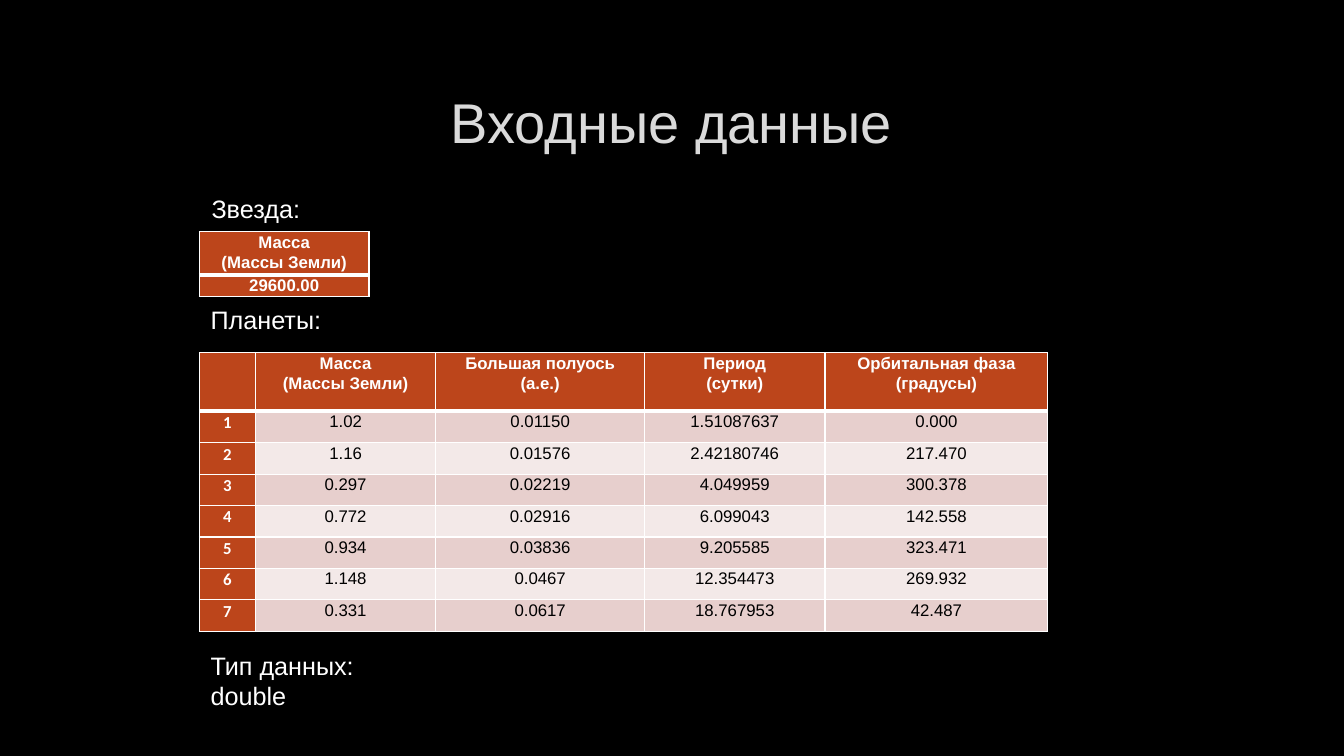
"""Build the slide that lists the input data for a star and its planets."""
from dataclasses import dataclass

from lxml import etree
from pptx import Presentation
from pptx import util as u
from pptx.dml.color import RGBColor
from pptx.enum import text as t
from pptx.oxml.ns import qn

WIDE, HIGH = u.Inches(13.33), u.Inches(7.5)
BLACK = RGBColor(0x00, 0x00, 0x00)
WHITE = RGBColor(0xFF, 0xFF, 0xFF)
SILVER = RGBColor(0xDA, 0xDA, 0xDA)
GRAY = RGBColor(0x40, 0x40, 0x40)
RUST = RGBColor(0xBC, 0x45, 0x1B)
ROSE = RGBColor(0xE7, 0xCF, 0xCD)
PALE = RGBColor(0xF3, 0xE9, 0xE8)
LEFT = 14.85


@dataclass(frozen=True)
class Font:
    size: float
    color: RGBColor
    bold: bool = False
    name: str = "Arial"


@dataclass(frozen=True)
class Label:
    words: str
    left: float
    top: float
    width: float
    height: float


@dataclass(frozen=True)
class Grid:
    top: float
    cols: list[float]
    rows: list[float]
    data: list[list[str]]


HEAD = Font(12, WHITE, True)
INDEX = Font(12, WHITE, True, "Calibri")
BODY = Font(12, BLACK)
NOTE = Font(18, WHITE)

TITLE = Label("Входные данные", 7.5, 8.93, 84.92, 14.13)
LABELS = [
    Label("Планеты:", 14.93, 39.6, 11.48, 5.33),
    Label("Звезда:", 15, 24.93, 10.8, 5.33),
    Label("Тип данных:\ndouble", 14.93, 85.33, 55.66, 9.47),
]
MASS = "Масса\n(Массы Земли)"
STAR = Grid(30.67, [12.6], [5.6, 2.72], [[MASS], ["29600.00"]])
PLANETS = Grid(46.67, [4.15, 13.43, 15.53, 13.43, 16.58], [7.73] + [4.16] * 7, [
    ["", MASS, "Большая полуось\n(а.е.)", "Период\n(сутки)", "Орбитальная фаза\n(градусы)"],
    ["1", "1.02", "0.01150", "1.51087637", "0.000"],
    ["2", "1.16", "0.01576", "2.42180746", "217.470"],
    ["3", "0.297", "0.02219", "4.049959", "300.378"],
    ["4", "0.772", "0.02916", "6.099043", "142.558"],
    ["5", "0.934", "0.03836", "9.205585", "323.471"],
    ["6", "1.148", "0.0467", "12.354473", "269.932"],
    ["7", "0.331", "0.0617", "18.767953", "42.487"],
])


def across(share: float) -> int:
    return round(WIDE * share / 100)


def down(share: float) -> int:
    return round(HIGH * share / 100)


def write(frame, words: str, font: Font, align=t.PP_ALIGN.LEFT, gap: float = 1) -> None:
    for spot, line in enumerate(words.split("\n")):
        para = frame.add_paragraph() if spot else frame.paragraphs[0]
        para.alignment, para.line_spacing = align, gap
        run = para.add_run()
        run.text = line
        run.font.name, run.font.size = font.name, u.Pt(font.size)
        run.font.bold = font.bold
        run.font.color.rgb = font.color


def add_text(slide, item: Label, font: Font, align=t.PP_ALIGN.LEFT):
    box = slide.shapes.add_textbox(across(item.left), down(item.top),
                                   across(item.width), down(item.height))
    box.text_frame.word_wrap = True
    write(box.text_frame, item.words, font, align)
    return box.text_frame


def make_line(tag: str, width: float, color: RGBColor):
    line = etree.Element(qn(tag), w=str(u.Pt(width)))
    fill = etree.SubElement(line, qn("a:solidFill"))
    etree.SubElement(fill, qn("a:srgbClr"), val=str(color))
    return line


def add_title(slide) -> None:
    frame = add_text(slide, TITLE, Font(40, SILVER), t.PP_ALIGN.CENTER)
    frame.vertical_anchor = t.MSO_ANCHOR.MIDDLE
    edge = make_line("a:ln", 0.75, GRAY)
    etree.SubElement(edge[0][0], qn("a:alpha"), val="10000")
    frame.paragraphs[0].runs[0].font._element.insert(0, edge)


def add_grid(slide, grid: Grid) -> None:
    shape = slide.shapes.add_table(len(grid.rows), len(grid.cols), across(LEFT), down(grid.top),
                                   across(sum(grid.cols)), down(sum(grid.rows)))
    table = shape.table
    table.first_row = table.horz_banding = False
    for col, width in zip(table.columns, grid.cols):
        col.width = across(width)
    for row, height in zip(table.rows, grid.rows):
        row.height = down(height)
    for r, line in enumerate(grid.data):
        for c, words in enumerate(line):
            cell = table.cell(r, c)
            cell.margin_left = cell.margin_right = u.Inches(0.07)
            cell.margin_top = cell.margin_bottom = 0
            for side in "LRTB":
                thick = (side, r) in (("B", 0), ("T", 1))
                edge = make_line(f"a:ln{side}", 3 if thick else 1, WHITE)
                cell._tc.get_or_add_tcPr().append(edge)
            plain = r > 0 and c > 0
            cell.fill.solid()
            cell.fill.fore_color.rgb = (ROSE if r % 2 else PALE) if plain else RUST
            font = BODY if plain else INDEX if r and len(line) > 1 else HEAD
            if words:
                write(cell.text_frame, words, font, t.PP_ALIGN.CENTER, 1.07)


def main() -> None:
    deck = Presentation()
    deck.slide_width, deck.slide_height = WIDE, HIGH
    slide = deck.slides.add_slide(deck.slide_layouts[6])
    slide.background.fill.solid()
    slide.background.fill.fore_color.rgb = BLACK
    add_title(slide)
    for grid in (PLANETS, STAR):
        add_grid(slide, grid)
    for item in LABELS:
        add_text(slide, item, NOTE)
    deck.save("out.pptx")


if __name__ == "__main__":
    main()
